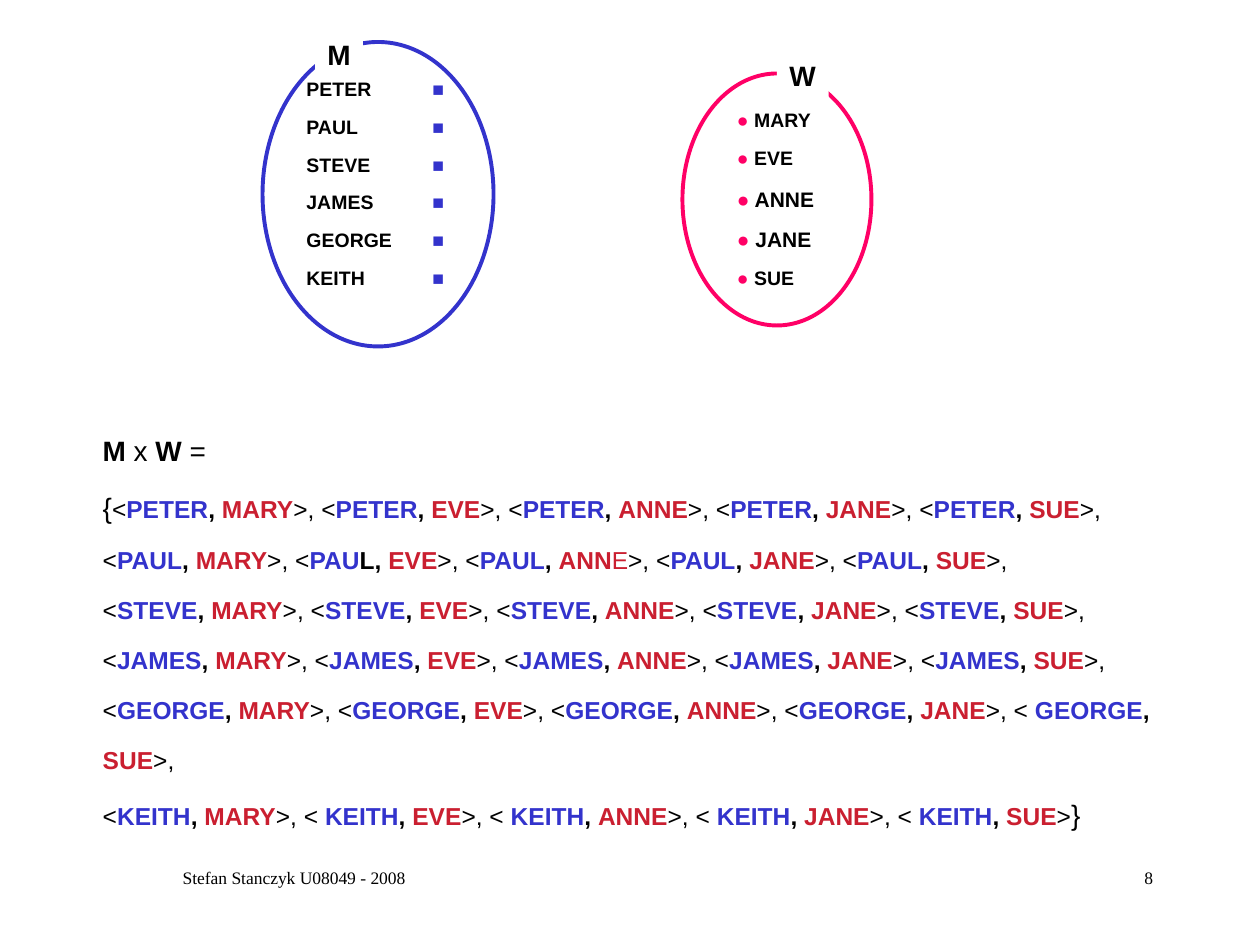
from pptx import Presentation
from pptx.dml.color import RGBColor
from pptx.enum.shapes import MSO_SHAPE as Shape
from pptx.enum.text import MSO_ANCHOR as Anchor, PP_ALIGN as Align
from pptx.util import Pt

BLACK = RGBColor(0x00, 0x00, 0x00)
WHITE = RGBColor(0xFF, 0xFF, 0xFF)
BLUE = RGBColor(0x33, 0x33, 0xCC)
PINK = RGBColor(0xFF, 0x00, 0x66)
RED = RGBColor(0xCA, 0x1F, 0x30)

MEN = ["PETER", "PAUL", "STEVE", "JAMES", "GEORGE", "KEITH"]
WOMEN = ["MARY", "EVE", "ANNE", "JANE", "SUE"]
WOMEN_ROWS = [(21.6, 11.1, 0.9), (21.6, 11.1, 0.9), (22.8, 12, 1), (24, 12, 1), (21.6, 11.1, 0.9)]
SPACED_PAIRS = [("GEORGE", "SUE")] + [("KEITH", woman) for woman in WOMEN[1:]]


def add_run(paragraph, text, size=14, color=BLACK, bold=False, font="Arial"):
    run = paragraph.add_run()
    run.text = text
    run.font.name = font
    run.font.size = Pt(size)
    run.font.bold = bold
    run.font.color.rgb = color


def add_box(shapes, left, top, width, height, spacing=1, align=Align.LEFT):
    box = shapes.add_textbox(Pt(left), Pt(top), Pt(width), Pt(height))
    box.text_frame.word_wrap = True
    paragraph = box.text_frame.paragraphs[0]
    paragraph.line_spacing = spacing
    paragraph.alignment = align
    return paragraph


presentation = Presentation()
presentation.slide_width = Pt(720)
presentation.slide_height = Pt(540)
slide = presentation.slides.add_slide(presentation.slide_layouts[6])

men_group = slide.shapes.add_group_shape()
for row, man in enumerate(MEN):
    top = 42 + 21.6 * row
    add_run(add_box(men_group.shapes, 240, top, 24, 21.6, 0.9), "■", size=11.1, color=BLUE)
    add_run(add_box(men_group.shapes, 168, top, 72, 21.6, 0.9), man, size=11.1, bold=True)

women_group = slide.shapes.add_group_shape()
top = 60
for woman, (height, size, spacing) in zip(WOMEN, WOMEN_ROWS):
    paragraph = add_box(women_group.shapes, 414, top, 68.4, height, spacing)
    add_run(paragraph, "●", size=size, color=PINK)
    add_run(paragraph, " " + woman, size=size, bold=True)
    top += height

for group, color, oval, name, label in [
    (men_group, BLUE, (150, 24, 132, 174), "M", (180, 18, 27.4, 26.6)),
    (women_group, PINK, (390, 42, 108, 144), "W", (444, 30, 29.5, 26.6)),
]:
    ellipse = group.shapes.add_shape(Shape.OVAL, *map(Pt, oval))
    ellipse.shadow.inherit = False
    ellipse.fill.background()
    ellipse.line.color.rgb = color
    ellipse.line.width = Pt(2.25)
    tag = group.shapes.add_shape(Shape.RECTANGLE, *map(Pt, label))
    tag.shadow.inherit = False
    tag.fill.solid()
    tag.fill.fore_color.rgb = WHITE
    tag.line.fill.background()
    tag.text_frame.word_wrap = False
    tag.text_frame.vertical_anchor = Anchor.TOP
    tag.text_frame.paragraphs[0].alignment = Align.LEFT
    add_run(tag.text_frame.paragraphs[0], name, size=16, bold=True)

product_box = slide.shapes.add_textbox(Pt(35.3), Pt(231), Pt(661.7), Pt(255.6))
product = product_box.text_frame
product.word_wrap = True
product.margin_left = Pt(23.4)
heading = product.paragraphs[0]
heading.line_spacing = 1.7
for text, bold in [("M ", True), ("x ", False), ("W", True), (" =", False)]:
    add_run(heading, text, size=16, bold=bold)

for man in MEN:
    paragraph = product.add_paragraph()
    paragraph.line_spacing = 1.7
    if man == MEN[0]:
        add_run(paragraph, "{", size=16)
    for woman in WOMEN:
        opening = "< " if (man, woman) in SPACED_PAIRS else "<"
        add_run(paragraph, opening if woman == WOMEN[0] else ">, " + opening)
        blue_length = 3 if (man, woman) == ("PAUL", "EVE") else len(man)
        red_length = 3 if (man, woman) == ("PAUL", "ANNE") else len(woman)
        add_run(paragraph, man[:blue_length], color=BLUE, bold=True)
        add_run(paragraph, man[blue_length:] + ", ", bold=True)
        add_run(paragraph, woman[:red_length], color=RED, bold=True)
        if red_length < len(woman):
            add_run(paragraph, woman[red_length:], color=RED)
    add_run(paragraph, ">" if man == MEN[-1] else ">,")
add_run(paragraph, "}", size=16)

footer = add_box(slide.shapes, 54, 492, 228, 36, align=Align.CENTER)
add_run(footer, "Stefan Stanczyk U08049 - 2008", size=10, font="Times New Roman")
page_number = add_box(slide.shapes, 516, 492, 150, 36, align=Align.RIGHT)
add_run(page_number, "8", size=10, font="Times New Roman")

presentation.save("out.pptx")
